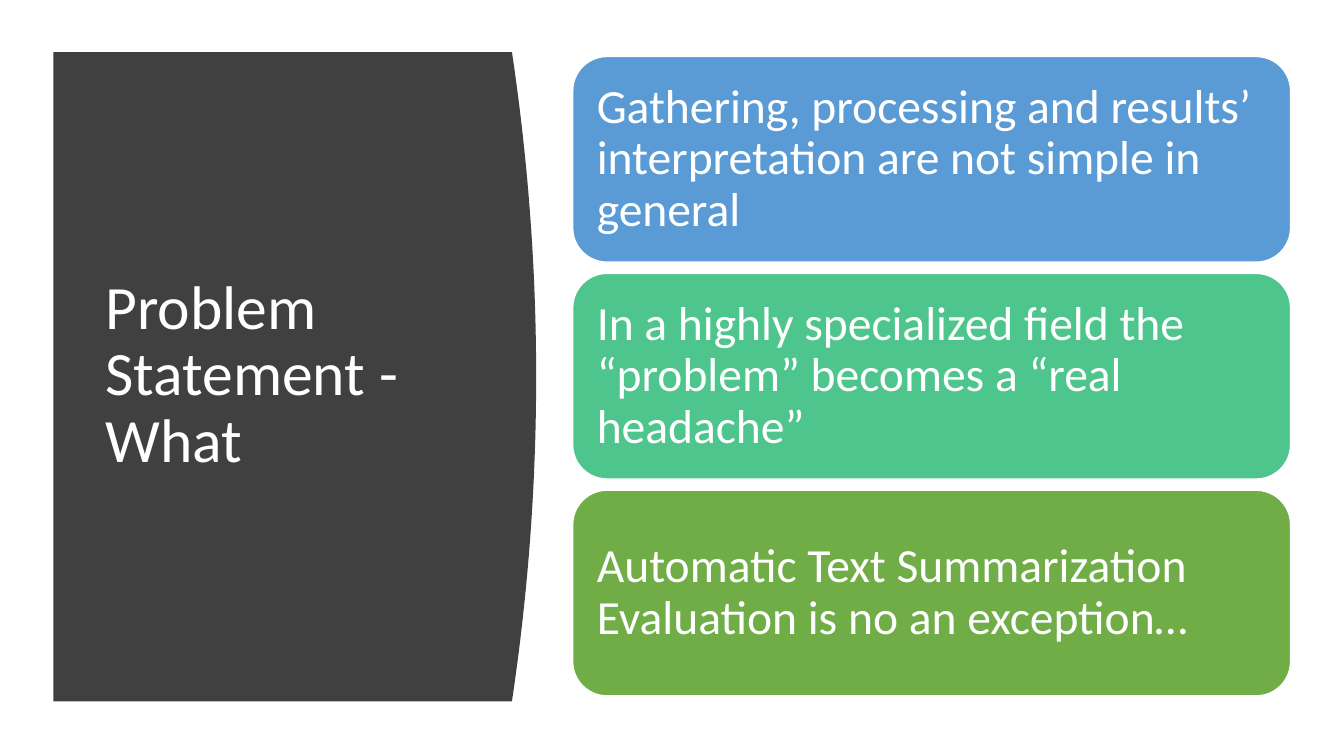
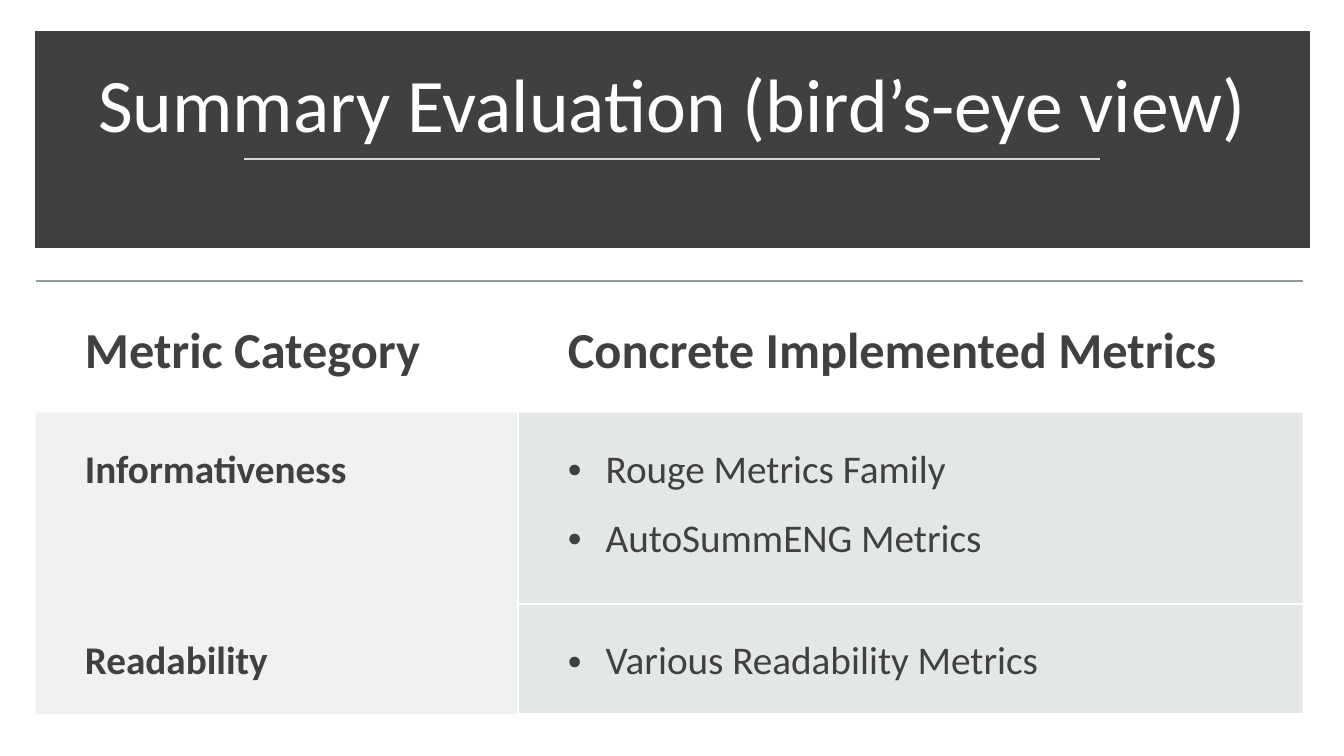
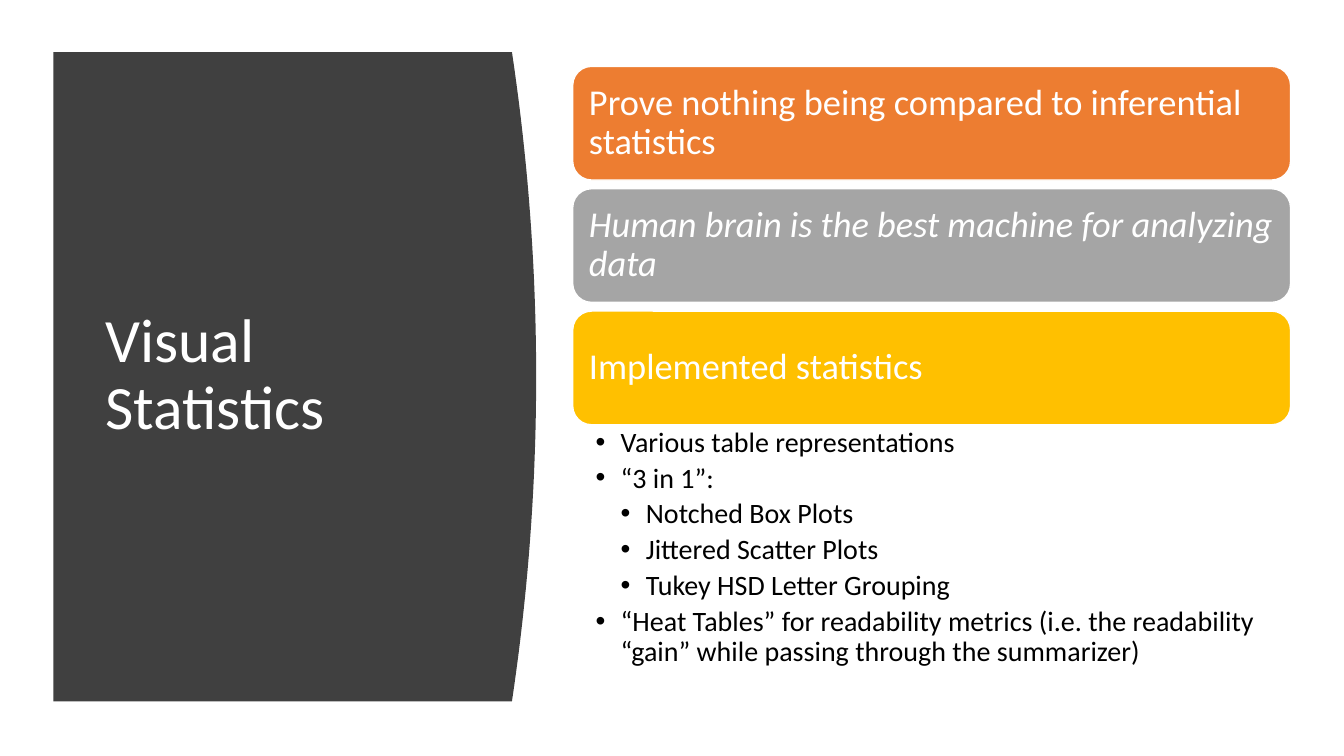
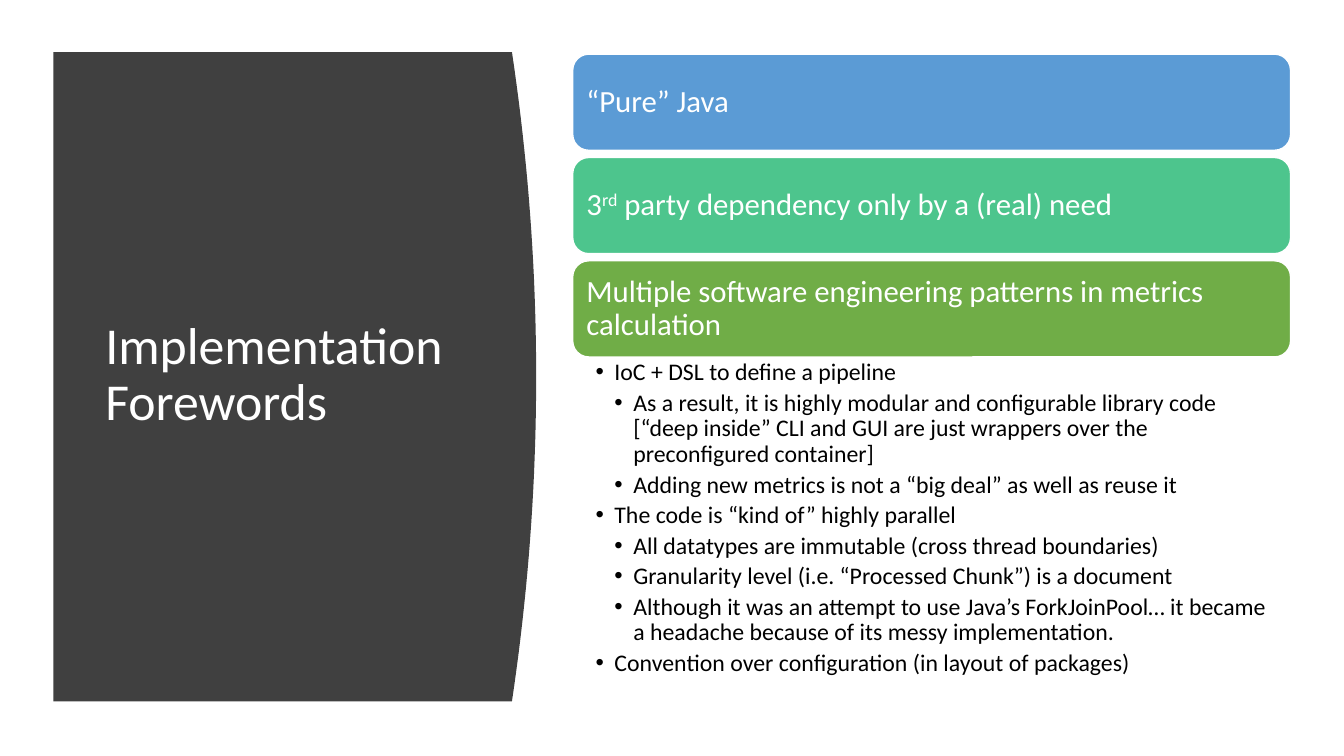
from lxml import etree
from pptx import Presentation
from pptx.dml.color import RGBColor
from pptx.enum import shapes, text
from pptx.oxml import ns
from pptx.util import Pt

FONT = "Calibri"
WHITE = RGBColor(0xFF, 0xFF, 0xFF)
BLACK = RGBColor(0, 0, 0)
CHARCOAL = RGBColor(0x40, 0x40, 0x40)
RULE_GREY = RGBColor(0xD9, 0xD9, 0xD9)
HEADER_RULE = RGBColor(0x8F, 0x9A, 0x9D)
CELL_GREY = RGBColor(0xB4, 0xBC, 0xBE)
BLUE = RGBColor(0x5B, 0x9B, 0xD5)
MINT = RGBColor(0x4D, 0xC5, 0x8D)
GREEN = RGBColor(0x70, 0xAD, 0x47)
ORANGE = RGBColor(0xED, 0x7D, 0x31)
GREY = RGBColor(0xA5, 0xA5, 0xA5)
GOLD = RGBColor(0xFF, 0xC0, 0x00)
COOL = (BLUE, MINT, GREEN)
WARM = (ORANGE, GREY, GOLD)

PANEL = (38.2, 37.2, 344.8, 463.8)
PANEL_BULGE = 17.3
CARD_LEFT, CARD_WIDTH = 409.1, 512.8
NO_TABLE_STYLE = "{2D5ABB26-0587-4C30-8999-92F81FD0307C}"


def pts(*lengths):
    return [Pt(length) for length in lengths]


def sub(parent, tag, **attributes):
    return etree.SubElement(parent, ns.qn(tag), attributes)


def set_insets(holder, left, top, right, bottom):
    """Set the margins of a text frame or a table cell."""
    holder.margin_left, holder.margin_top, holder.margin_right, holder.margin_bottom = pts(
        left, top, right, bottom)


def add_runs(paragraph, runs, size, color, bold=False, line=0.9, after=0):
    """Fill a paragraph from a string or from (string, style) pairs."""
    paragraph.line_spacing = line
    paragraph.space_after = Pt(after)
    for words, style in [(runs, "")] if isinstance(runs, str) else runs:
        run = paragraph.add_run()
        run.text = words
        font = run.font
        font.name, font.size, font.bold = FONT, Pt(size), bold
        font.color.rgb = color
        if style == "italic":
            font.italic = True
        elif style == "super":
            run._r.get_or_add_rPr().set("baseline", "30000")


def add_bullet(paragraph, step, level=1):
    properties = paragraph._p.get_or_add_pPr()
    properties.set("marL", str(Pt(step * level)))
    properties.set("indent", str(-Pt(step)))
    sub(properties, "a:buFont", typeface="Arial")
    sub(properties, "a:buChar", char="•")


def next_paragraph(frame, index):
    return frame.paragraphs[0] if index == 0 else frame.add_paragraph()


def add_text_box(slide, box, anchor=text.MSO_ANCHOR.TOP):
    frame = slide.shapes.add_textbox(*pts(*box)).text_frame
    frame.word_wrap = True
    frame.vertical_anchor = anchor
    return frame


def add_filled(slide, kind, box, fill, line, line_width):
    shape = slide.shapes.add_shape(kind, *pts(*box))
    shape.shadow.inherit = False
    shape.fill.solid()
    shape.fill.fore_color.rgb = fill
    shape.line.color.rgb = line
    shape.line.width = Pt(line_width)
    return shape


def title_panel(slide, box, title, size):
    """Dark panel with a curved right edge, carrying the slide title."""
    left, top, width, height = box
    edge = left + width - PANEL_BULGE
    steps = 40
    outline = slide.shapes.build_freeform(Pt(left), Pt(top))
    curve = []
    for step in range(steps + 1):
        offset = 2 * step / steps - 1
        curve.append(pts(edge + PANEL_BULGE * (1 - offset ** 2), top + height * step / steps))
    outline.add_line_segments(curve + [pts(left, top + height)], close=True)
    panel = outline.convert_to_shape()
    panel.shadow.inherit = False
    panel.fill.solid()
    panel.fill.fore_color.rgb = CHARCOAL
    panel.line.fill.background()

    title_box = (left + 30, top + 42.7, width - 75.5, height - 86.6)
    frame = add_text_box(slide, title_box, text.MSO_ANCHOR.MIDDLE)
    add_runs(frame.paragraphs[0], title, size, WHITE)


def card_stack(slide, top, height, gap, cards, colors, size, inset):
    """Stack rounded cards and return the bottom of the last one."""
    for index, (words, color) in enumerate(zip(cards, colors)):
        box = (CARD_LEFT, top + index * (height + gap), CARD_WIDTH, height)
        card = add_filled(slide, shapes.MSO_SHAPE.ROUNDED_RECTANGLE, box, color, WHITE, 1)
        frame = card.text_frame
        frame.word_wrap = True
        frame.vertical_anchor = text.MSO_ANCHOR.MIDDLE
        set_insets(frame, inset, 0, inset, 0)
        paragraph = frame.paragraphs[0]
        paragraph.alignment = text.PP_ALIGN.LEFT
        add_runs(paragraph, words, size, WHITE)
    return box[1] + height


def detail_list(slide, box, items, size, step, right_inset):
    """Bulleted (level, words) items below a card."""
    frame = add_text_box(slide, box)
    set_insets(frame, 16.3, 2.3, right_inset, 2.3)
    for index, (level, words) in enumerate(items):
        paragraph = next_paragraph(frame, index)
        add_runs(paragraph, words, size, BLACK, after=0.2 * size)
        add_bullet(paragraph, step, level)


def title_band(slide, box, title):
    left, top, width, height = box
    band = add_filled(slide, shapes.MSO_SHAPE.RECTANGLE, box, CHARCOAL, CHARCOAL, 10)
    sub(band.line._get_or_add_ln(), "a:miter", lim="800000")
    frame = add_text_box(slide, (left + 11.8, top + 9.4, width - 23.8, 73.4),
                         text.MSO_ANCHOR.BOTTOM)
    frame.paragraphs[0].alignment = text.PP_ALIGN.CENTER
    add_runs(frame.paragraphs[0], title, 54, WHITE)
    rule_y = top + 86.4
    rule = slide.shapes.add_connector(
        shapes.MSO_CONNECTOR.STRAIGHT, *pts(left + 144.3, rule_y, left + 756, rule_y))
    rule.line.color.rgb = RULE_GREY
    rule.line.width = Pt(1.75)
    sub(rule._element.spPr, "a:effectLst")


def set_borders(cell, borders):
    """Draw borders given as {side: (color, opacity percent)}."""
    properties = cell._tc.get_or_add_tcPr()
    sides = [side for side in "LRTB" if side in borders]
    for position, side in enumerate(sides):
        color, opacity = borders[side]
        line = etree.Element(ns.qn("a:ln" + side), w=str(Pt(1.5)))
        shade = sub(sub(line, "a:solidFill"), "a:srgbClr", val=str(color))
        sub(shade, "a:alpha", val=str(opacity * 1000))
        properties.insert(position, line)


def fill_cell(cell, opacity):
    cell.fill.solid()
    cell.fill.fore_color.rgb = CELL_GREY
    shade = cell._tc.tcPr.find(".//" + ns.qn("a:srgbClr"))
    sub(shade, "a:alpha", val=str(opacity * 1000))


def write_cell(cell, lines, size, bold, inset, bulleted=False):
    set_insets(cell, 35.3, inset, inset, inset)
    for index, words in enumerate(lines):
        paragraph = next_paragraph(cell.text_frame, index)
        add_runs(paragraph, words, size, CHARCOAL, bold, line=1.15, after=10)
        if bulleted:
            add_bullet(paragraph, 27)


def metrics_table(slide, box, headers, categories):
    widths, heights = (344.9, 560.1), (94.3, 136.8, 78.5)
    table = slide.shapes.add_table(len(heights), len(widths), *pts(*box)).table
    table._tbl.tblPr.find(ns.qn("a:tableStyleId")).text = NO_TABLE_STYLE
    table.first_row = table.horz_banding = False
    for column, width in zip(table.columns, widths):
        column.width = Pt(width)
    for row, height in zip(table.rows, heights):
        row.height = Pt(height)

    for column, header in enumerate(headers):
        cell = table.cell(0, column)
        write_cell(cell, [header], 36, True, 21.6)
        cell.fill.background()
        set_borders(cell, {"T": (HEADER_RULE, 60)})

    white = (WHITE, 100)
    for row, (category, metrics) in enumerate(categories, 1):
        name, detail = table.cell(row, 0), table.cell(row, 1)
        write_cell(name, [category], 28, True, 18.7)
        write_cell(detail, metrics, 28, False, 18.7, bulleted=True)
        fill_cell(name, 20)
        fill_cell(detail, 35)
        set_borders(name, {"R": white})
        inner = {"L": white, "B": white}
        if row > 1:
            inner["T"] = white
        set_borders(detail, inner)


def card_slide(slide, title, title_size, top, height, gap, cards, colors, size, inset,
               details=(), detail_size=0, step=0, right_inset=0, detail_height=0):
    """Title panel on the left, cards and optional details on the right."""
    title_panel(slide, PANEL, title, title_size)
    bottom = card_stack(slide, top, height, gap, cards, colors, size, inset)
    if details:
        detail_list(slide, (CARD_LEFT, bottom, CARD_WIDTH, detail_height),
                    details, detail_size, step, right_inset)


def main():
    deck = Presentation()
    deck.slide_width, deck.slide_height = pts(960, 540)
    blank = deck.slide_layouts[6]

    card_slide(
        deck.slides.add_slide(blank), "Problem Statement - What", 44,
        top=40.4, height=146.9, gap=8, colors=COOL, size=34, inset=10.1,
        cards=[
            "Gathering, processing and results’ interpretation are not simple in general",
            "In a highly specialized field the “problem” becomes a “real headache”",
            "Automatic Text Summarization Evaluation is no an exception…",
        ])

    summary = deck.slides.add_slide(blank)
    title_band(summary, (29.9, 27.3, 900.7, 145.2), "Summary Evaluation (bird’s-eye view)")
    metrics_table(
        summary, (25.4, 200.5, 905, 309.6),
        ["Metric Category", "Concrete Implemented Metrics"],
        [
            ("Informativeness", ["Rouge Metrics Family", "AutoSummENG Metrics"]),
            ("Readability", ["Various Readability Metrics"]),
        ])

    card_slide(
        deck.slides.add_slide(blank), "Visual Statistics", 44,
        top=47.4, height=81.2, gap=6.2, colors=WARM, size=26, inset=7.7,
        cards=[
            "Prove nothing being compared to inferential statistics",
            [("Human brain is the best machine for analyzing data", "italic")],
            "Implemented statistics",
        ],
        detail_size=20, step=18, right_inset=14.4, detail_height=186.5,
        details=[
            (1, "Various table representations"),
            (1, "“3 in 1”:"),
            (2, "Notched Box Plots"),
            (2, "Jittered Scatter Plots"),
            (2, "Tukey HSD Letter Grouping"),
            (1, "“Heat Tables” for readability metrics (i.e. the readability “gain” "
                "while passing through the summarizer)"),
        ])

    card_slide(
        deck.slides.add_slide(blank), "Implementation Forewords", 37,
        top=38.7, height=68.7, gap=5.1, colors=COOL, size=22, inset=6.5,
        cards=[
            "“Pure” Java",
            [("3", ""), ("rd", "super"), (" party dependency only by a (real) need", "")],
            "Multiple software engineering patterns in metrics calculation",
        ],
        detail_size=17, step=13.5, right_inset=12.2, detail_height=244,
        details=[
            (1, "IoC + DSL to define a pipeline"),
            (2, "As a result, it is highly modular and configurable library code "
                "[“deep inside” CLI and GUI are just wrappers over the preconfigured container]"),
            (2, "Adding new metrics is not a “big deal” as well as reuse it"),
            (1, "The code is “kind of” highly parallel"),
            (2, "All datatypes are immutable (cross thread boundaries)"),
            (2, "Granularity level (i.e. “Processed Chunk”) is a document"),
            (2, "Although it was an attempt to use Java’s ForkJoinPool… it became "
                "a headache because of its messy implementation."),
            (1, "Convention over configuration (in layout of packages)"),
        ])

    deck.save("out.pptx")


if __name__ == "__main__":
    main()
